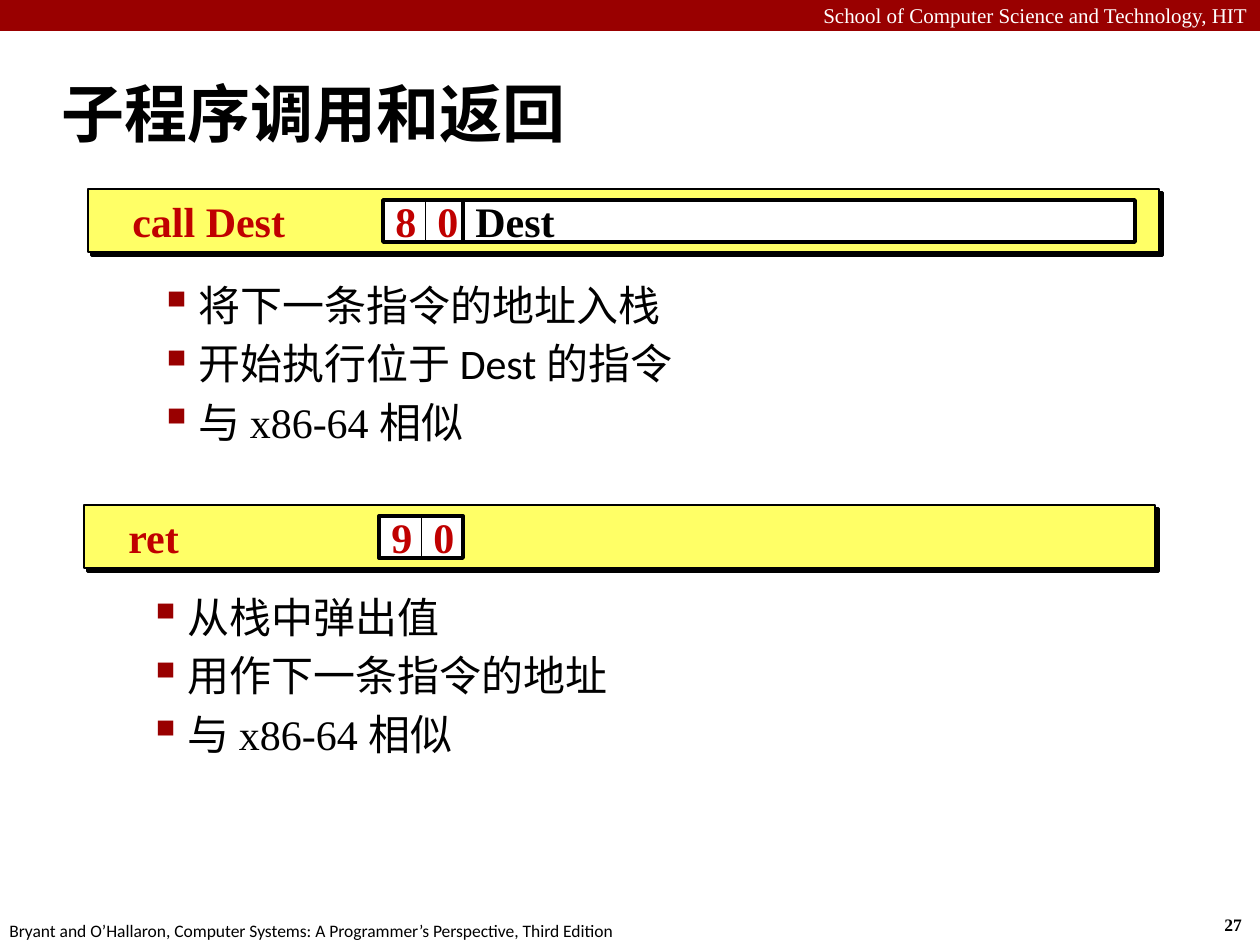
"""Build the slide on calling and returning from subroutines."""
from dataclasses import dataclass
from typing import Any, Optional

from lxml.etree import SubElement
from pptx import Presentation
from pptx.dml.color import RGBColor
from pptx.enum.shapes import MSO_SHAPE as Shape
from pptx.enum.text import MSO_ANCHOR as Anchor, MSO_AUTO_SIZE as AutoSize, PP_ALIGN as Align
from pptx.oxml.ns import qn
from pptx.util import Emu, Pt

EMU_PER_PX = 914400 / 126
BLACK = RGBColor(0x00, 0x00, 0x00)
WHITE = RGBColor(0xFF, 0xFF, 0xFF)
MAROON = RGBColor(0x99, 0x00, 0x00)
RED = RGBColor(0xC0, 0x00, 0x00)
YELLOW = RGBColor(0xFF, 0xFF, 0x66)
SERIF = "Times New Roman"
SANS = "Calibri"
CELL = 42


@dataclass(frozen=True)
class Box:
    left: int
    top: int
    width: int
    height: int


@dataclass(frozen=True)
class Style:
    size: int
    name: str = SANS
    color: RGBColor = BLACK
    bold: bool = False


@dataclass(frozen=True)
class Instruction:
    left: int
    top: int
    label: str
    codes: str
    operand: Optional[str]
    notes: Box
    lines: tuple[str, ...]


CODE = Style(24, SERIF, RED, True)
OPERAND = Style(24, SERIF, BLACK, True)
NOTE_STYLES = (Style(24), Style(24), Style(24, SERIF))
INSTRUCTIONS = (
    Instruction(88, 189, "call Dest", "80", "Dest", Box(84, 273, 1062, 214),
                ("将下一条指令的地址入栈", "开始执行位于 Dest 的指令", "与 x86-64 相似")),
    Instruction(84, 505, "ret", "90", None, Box(73, 585, 1062, 214),
                ("从栈中弹出值", "用作下一条指令的地址", "与 x86-64 相似")),
)


def px(value: int) -> Emu:
    """Turn pixels into EMU."""
    return Emu(round(value * EMU_PER_PX))


def place(box: Box) -> tuple[Emu, ...]:
    """Return the position and size of a box in EMU."""
    return tuple(px(value) for value in (box.left, box.top, box.width, box.height))


def apply_format(target: Any, values: dict[str, Any]) -> None:
    """Set each named attribute on the target."""
    for name, value in values.items():
        setattr(target, name, value)


def add_run(paragraph: Any, text: str, style: Style) -> None:
    """Add one styled run to a paragraph."""
    run = paragraph.add_run()
    run.text = text
    apply_format(run.font, {"size": Pt(style.size), "name": style.name, "bold": style.bold})
    run.font.color.rgb = style.color


def write(shape: Any, text: str, style: Style, **frame_values: Any) -> None:
    """Write one left-aligned line into a shape."""
    defaults = {"word_wrap": False, "vertical_anchor": Anchor.MIDDLE}
    apply_format(shape.text_frame, defaults | frame_values)
    paragraph = shape.text_frame.paragraphs[0]
    paragraph.alignment = Align.LEFT
    add_run(paragraph, text, style)


def add_rectangle(shapes: Any, box: Box, fill: Optional[RGBColor], line: float = 0) -> Any:
    """Add a rectangle with an optional fill and black outline."""
    shape = shapes.add_shape(Shape.RECTANGLE, *place(box))
    shape.shadow.inherit = False
    if fill is None:
        shape.fill.background()
    else:
        shape.fill.solid()
        shape.fill.fore_color.rgb = fill
    if line:
        shape.line.color.rgb = BLACK
        shape.line.width = Pt(line)
    else:
        shape.line.fill.background()
    return shape


def add_hard_shadow(shape: Any) -> None:
    """Give a shape a sharp black shadow to the lower right."""
    effects = shape._element.spPr.find(qn("a:effectLst"))
    shadow = SubElement(effects, qn("a:outerShdw"), dist=str(Pt(2.8)), dir="2700000",
                        algn="ctr", rotWithShape="0")
    SubElement(shadow, qn("a:srgbClr"), val=str(BLACK))


def add_bullet(paragraph: Any) -> None:
    """Give a paragraph a hanging square bullet."""
    properties = paragraph._p.get_or_add_pPr()
    properties.set("marL", str(px(102)))
    properties.set("indent", str(px(-39)))
    color = SubElement(properties, qn("a:buClr"))
    SubElement(color, qn("a:srgbClr"), val=str(MAROON))
    SubElement(properties, qn("a:buSzPct"), val="110000")
    SubElement(properties, qn("a:buChar"), char="▪")


def add_notes(shapes: Any, box: Box, lines: tuple[str, ...]) -> None:
    """Add the bulleted explanation of an instruction."""
    frame = shapes.add_textbox(*place(box)).text_frame
    frame.word_wrap = True
    for index, (line, style) in enumerate(zip(lines, NOTE_STYLES)):
        paragraph = frame.add_paragraph() if index else frame.paragraphs[0]
        apply_format(paragraph, {"level": 1, "space_before": Pt(4.8 if index else 0)})
        add_bullet(paragraph)
        add_run(paragraph, line, style)


def add_instruction(shapes: Any, item: Instruction) -> None:
    """Add an instruction band with its encoding and notes."""
    add_hard_shadow(add_rectangle(shapes, Box(item.left, item.top, 1071, 63), YELLOW, 1.5))
    top, code_left = item.top + 11, item.left + 295
    label = shapes.add_textbox(*place(Box(item.left + 32, top, 263, CELL)))
    write(label, item.label, CODE)
    group = shapes.add_group_shape()
    for index, digit in enumerate(item.codes):
        cell = add_rectangle(group.shapes, Box(code_left + index * CELL, top, CELL, CELL), WHITE, 0.5)
        write(cell, digit, CODE)
    add_rectangle(group.shapes, Box(code_left, top, len(item.codes) * CELL, CELL), None, 2.25)
    if item.operand:
        operand = add_rectangle(shapes, Box(code_left + 80, top, 672, CELL), WHITE, 2.25)
        write(operand, item.operand, OPERAND)
    add_notes(shapes, item.notes, item.lines)


def add_page_frame(shapes: Any) -> None:
    """Add the header bar, page number, footer and title."""
    add_rectangle(shapes, Box(0, 0, 1260, 31), MAROON)
    grow = {"auto_size": AutoSize.SHAPE_TO_FIT_TEXT, "vertical_anchor": Anchor.TOP}
    header = shapes.add_textbox(*place(Box(0, -4, 1260, 38)))
    write(header, "School of Computer Science and Technology, HIT",
          Style(12, SERIF, WHITE), **grow, word_wrap=True)
    header.text_frame.paragraphs[0].alignment = Align.RIGHT
    number = shapes.add_textbox(*place(Box(1212, 908, 47, 34)))
    write(number, "27", Style(10, SERIF, BLACK, True), **grow)
    footer = shapes.add_textbox(*place(Box(-3, 914, 640, 34)))
    write(footer, "Bryant and O’Hallaron, Computer Systems: A Programmer’s Perspective, Third Edition",
          Style(10), **grow)
    title = shapes.add_textbox(*place(Box(49, 60, 1211, 105)))
    write(title, "子程序调用和返回", Style(36, bold=True), word_wrap=True)


def main() -> None:
    """Build and save the presentation."""
    presentation = Presentation()
    apply_format(presentation, {"slide_width": px(1260), "slide_height": px(945)})
    slide = presentation.slides.add_slide(presentation.slide_layouts[6])
    add_page_frame(slide.shapes)
    for item in INSTRUCTIONS:
        add_instruction(slide.shapes, item)
    presentation.save("out.pptx")


if __name__ == "__main__":
    main()
